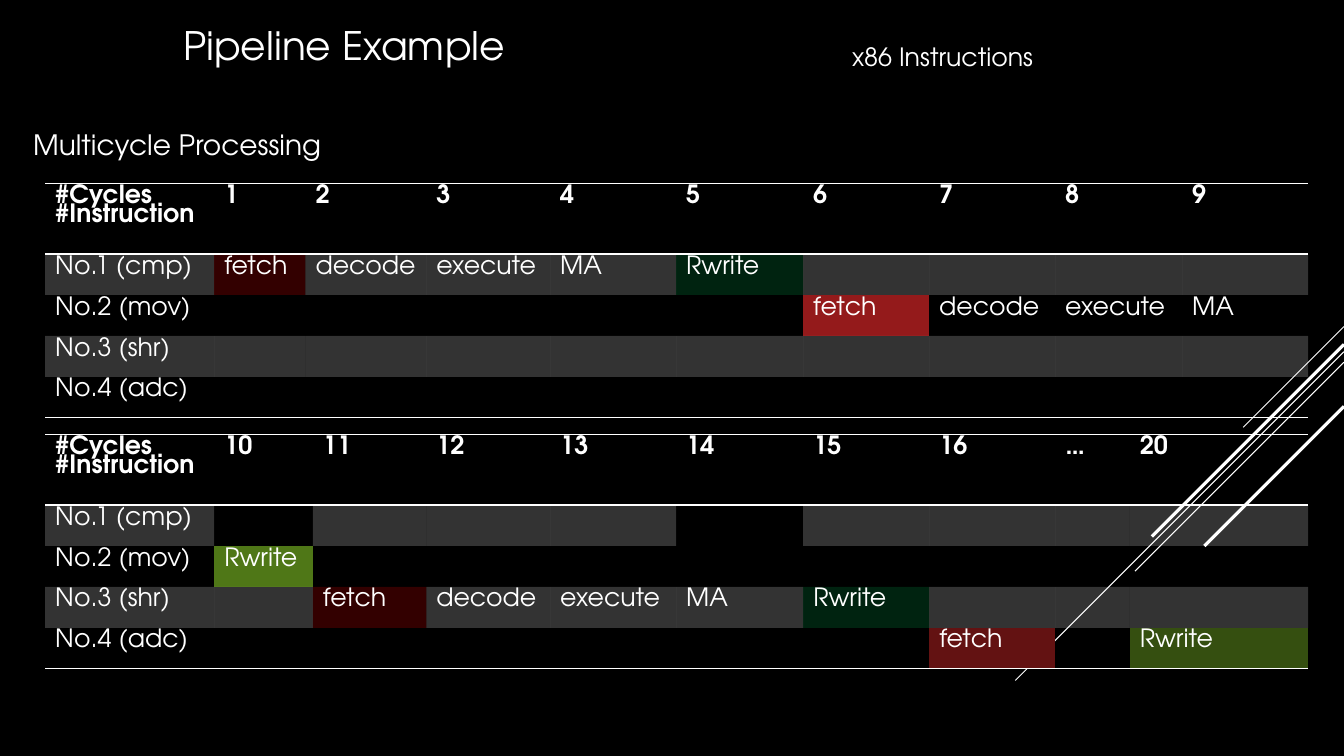
from dataclasses import dataclass
from typing import Optional

from lxml.etree import SubElement
from pptx import Presentation
from pptx.dml.color import RGBColor
from pptx.enum.shapes import MSO_CONNECTOR
from pptx.enum.text import MSO_ANCHOR, MSO_AUTO_SIZE, PP_ALIGN
from pptx.oxml.ns import qn
from pptx.util import Emu, Pt

EMU_PER_PX = 9525
SLIDE_WIDTH, SLIDE_HEIGHT = 1280, 720
NO_GRID_STYLE = "{2D5ABB26-0587-4C30-8999-92F81FD0307C}"


@dataclass(frozen=True)
class Paint:
    color: str
    opacity: int = 100


@dataclass(frozen=True)
class Theme:
    font: str = "TeX Gyre Adventor"
    background: str = "000000"
    ink: str = "FFFFFF"
    title_size: int = 28
    heading_size: int = 20
    text_size: int = 18
    cell_spacing: float = 0.8
    rule: float = 1
    band: Paint = Paint("FFFFFF", 20)
    fetch_dim: Paint = Paint("FF0000", 20)
    write_dim: Paint = Paint("00B050", 20)
    fetch_red: Paint = Paint("941A1B")
    fetch_dark: Paint = Paint("631212")
    write_green: Paint = Paint("4F7717")
    write_dark: Paint = Paint("354F10")


THEME = Theme()


@dataclass(frozen=True)
class Label:
    text: str
    left: int
    top: int
    width: int
    height: int
    size: int


@dataclass(frozen=True)
class Ray:
    """A diagonal at 45 degrees, falling from the right edge of the slide."""
    top: int
    run: int
    weight: float


@dataclass(frozen=True)
class Step:
    row: int
    column: int
    text: str
    paint: Optional[Paint] = None


@dataclass(frozen=True)
class Timeline:
    top: int
    widths: tuple[int, ...]
    cycles: tuple[str, ...]
    steps: tuple[Step, ...]


TABLE_LEFT, HEADER_HEIGHT, ROW_HEIGHT = 43, 67, 39
CORNER = ("#Cycles", "#Instruction")
INSTRUCTIONS = ("No.1 (cmp)", "No.2 (mov)", "No.3 (shr)", "No.4 (adc)")

TITLE = Label("Pipeline Example", 165, 15, 330, 55, THEME.title_size)
LABELS = (
    Label("x86 Instructions", 802, 35, 194, 38, THEME.text_size),
    Label("Multicycle Processing", 22, 117, 298, 42, THEME.heading_size),
)
RAYS = (
    Ray(311, 96, 0.75),
    Ray(335, 313, 0.75),
    Ray(345, 199, 0.75),
    Ray(328, 183, 2.25),
    Ray(387, 133, 2.25),
)
TIMELINES = (
    Timeline(
        175,
        (161, 87, 115, 118, 120, 121, 120, 120, 121, 120),
        ("1", "2", "3", "4", "5", "6", "7", "8", "9"),
        (
            Step(1, 1, "fetch", THEME.fetch_dim),
            Step(1, 2, "decode", THEME.band),
            Step(1, 3, "execute", THEME.band),
            Step(1, 4, "MA", THEME.band),
            Step(1, 5, "Rwrite", THEME.write_dim),
            Step(2, 6, "fetch", THEME.fetch_red),
            Step(2, 7, "decode"),
            Step(2, 8, "execute"),
            Step(2, 9, "MA"),
        ),
    ),
    Timeline(
        414,
        (161, 94, 108, 118, 120, 121, 120, 120, 71, 170),
        ("10", "11", "12", "13", "14", "15", "16", "…", "20"),
        (
            Step(1, 1, ""),
            Step(1, 5, ""),
            Step(2, 1, "Rwrite", THEME.write_green),
            Step(3, 2, "fetch", THEME.fetch_dim),
            Step(3, 3, "decode", THEME.band),
            Step(3, 4, "execute", THEME.band),
            Step(3, 5, "MA", THEME.band),
            Step(3, 6, "Rwrite", THEME.write_dim),
            Step(4, 7, "fetch", THEME.fetch_dark),
            Step(4, 9, "Rwrite", THEME.write_dark),
        ),
    ),
)


def px(length: int) -> Emu:
    return Emu(length * EMU_PER_PX)


def add_run(paragraph, text: str, size: int, bold: bool = False) -> None:
    run = paragraph.add_run()
    run.text = text
    run.font.name = THEME.font
    run.font.size = Pt(size)
    run.font.bold = bold
    run.font.color.rgb = RGBColor.from_string(THEME.ink)


def fill_label(shape, label: Label) -> None:
    shape.left, shape.top = px(label.left), px(label.top)
    shape.width, shape.height = px(label.width), px(label.height)
    frame = shape.text_frame
    frame.word_wrap = False
    frame.auto_size = MSO_AUTO_SIZE.NONE
    frame.vertical_anchor = MSO_ANCHOR.TOP
    paragraph = frame.paragraphs[0]
    paragraph.alignment = PP_ALIGN.LEFT
    add_run(paragraph, label.text, label.size)


def draw_ray(slide, ray: Ray) -> None:
    line = slide.shapes.add_connector(
        MSO_CONNECTOR.STRAIGHT, px(SLIDE_WIDTH), px(ray.top),
        px(SLIDE_WIDTH - ray.run), px(ray.top + ray.run))
    line.line.color.rgb = RGBColor.from_string(THEME.ink)
    line.line.width = Pt(ray.weight)
    SubElement(line._element.spPr, qn("a:effectLst"))


def add_rule(cell, tag: str) -> None:
    """Add one cell border; borders must come before the cell's fill."""
    properties = cell._tc.get_or_add_tcPr()
    border = SubElement(properties, qn(tag), w=str(Pt(THEME.rule)))
    fill = SubElement(border, qn("a:solidFill"))
    SubElement(fill, qn("a:srgbClr"), val=THEME.ink)


def paint_cell(cell, paint: Optional[Paint]) -> None:
    if paint is None:
        cell.fill.background()
        return
    cell.fill.solid()
    cell.fill.fore_color.rgb = RGBColor.from_string(paint.color)
    if paint.opacity < 100:
        color = cell._tc.tcPr.find(".//" + qn("a:srgbClr"))
        SubElement(color, qn("a:alpha"), val=str(paint.opacity * 1000))


def write_cell(cell, lines: tuple[str, ...], bold: bool) -> None:
    frame = cell.text_frame
    for index, text in enumerate(lines):
        paragraph = frame.add_paragraph() if index else frame.paragraphs[0]
        paragraph.line_spacing = THEME.cell_spacing
        add_run(paragraph, text, THEME.text_size, bold)


def draw_timeline(slide, timeline: Timeline) -> None:
    heights = (HEADER_HEIGHT,) + (ROW_HEIGHT,) * len(INSTRUCTIONS)
    table = slide.shapes.add_table(
        len(heights), len(timeline.widths), px(TABLE_LEFT), px(timeline.top),
        px(sum(timeline.widths)), px(sum(heights))).table
    table.first_row = table.horz_banding = False
    table._tbl.tblPr.find(qn("a:tableStyleId")).text = NO_GRID_STYLE
    for column, width in zip(table.columns, timeline.widths):
        column.width = px(width)
    for row, height in zip(table.rows, heights):
        row.height = px(height)

    texts = {(0, 0): CORNER}
    texts |= {(0, column): (cycle,) for column, cycle in enumerate(timeline.cycles, 1)}
    texts |= {(row, 0): (name,) for row, name in enumerate(INSTRUCTIONS, 1)}
    texts |= {(step.row, step.column): (step.text,) for step in timeline.steps if step.text}
    paints = {(step.row, step.column): step.paint for step in timeline.steps}
    for row in range(len(heights)):
        for column in range(len(timeline.widths)):
            cell = table.cell(row, column)
            write_cell(cell, texts.get((row, column), ()), bold=row == 0)
            if row == 0:
                add_rule(cell, "a:lnT")
            if row in (0, len(INSTRUCTIONS)):
                add_rule(cell, "a:lnB")
            paint_cell(cell, paints.get((row, column), THEME.band if row % 2 else None))


def main() -> None:
    presentation = Presentation()
    presentation.slide_width, presentation.slide_height = px(SLIDE_WIDTH), px(SLIDE_HEIGHT)
    slide = presentation.slides.add_slide(presentation.slide_layouts.get_by_name("Title Only"))
    slide.background.fill.solid()
    slide.background.fill.fore_color.rgb = RGBColor.from_string(THEME.background)
    for ray in RAYS:
        draw_ray(slide, ray)
    fill_label(slide.shapes.title, TITLE)
    for label in LABELS:
        fill_label(slide.shapes.add_textbox(0, 0, 0, 0), label)
    for timeline in TIMELINES:
        draw_timeline(slide, timeline)
    presentation.save("out.pptx")


if __name__ == "__main__":
    main()
